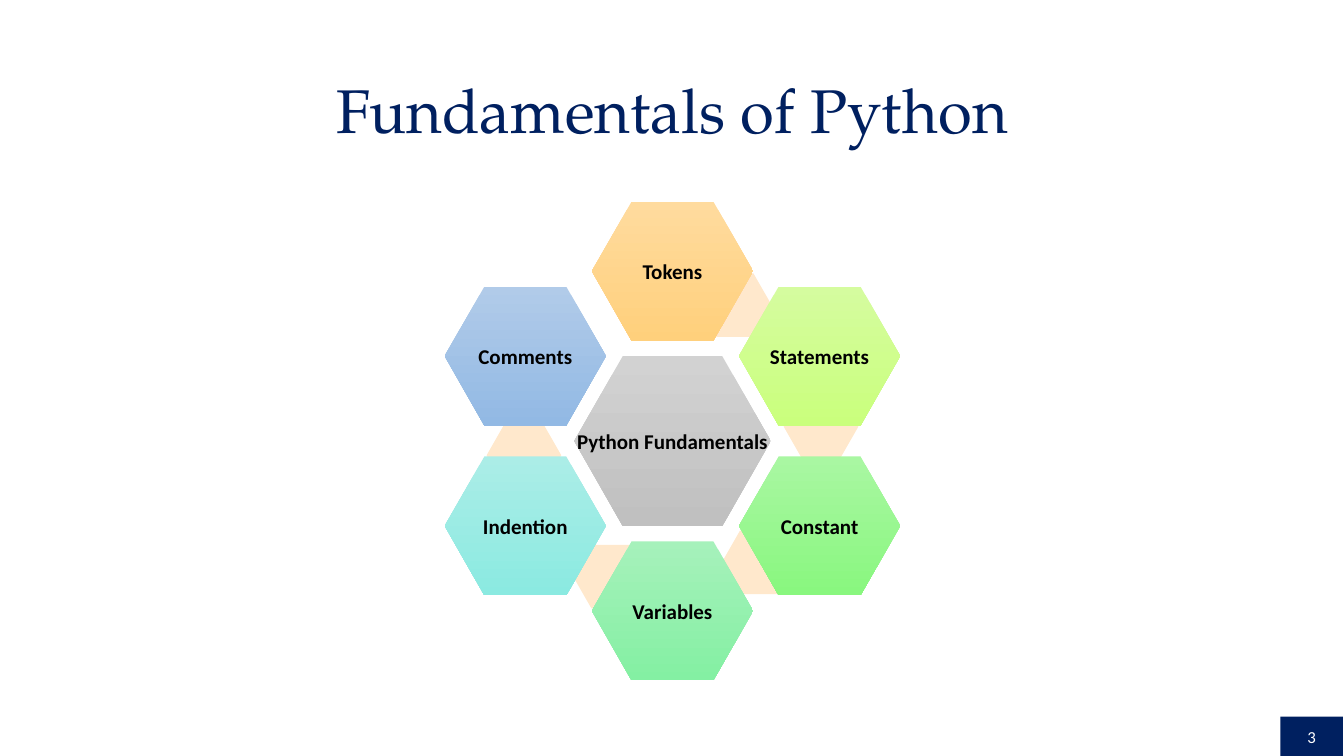
from math import cos, radians, sin
from pptx import Presentation
from pptx.dml.color import RGBColor
from pptx.enum.shapes import MSO_SHAPE
from pptx.enum.text import MSO_ANCHOR, PP_ALIGN
from pptx.util import Inches, Pt

NAVY = "002060"
LINK = "FFE8CC"
TOPICS = [
    ("Tokens", "FFDB9E", "FFD07C"),
    ("Statements", "D5FC9F", "CAFF7D"),
    ("Constant", "A9F7A2", "89F77F"),
    ("Variables", "A6F1BB", "84F0A3"),
    ("Indention", "ABEDE7", "8BEAE1"),
    ("Comments", "B1CBE9", "92B9E4"),
]


def color(value):
    return RGBColor.from_string(value)


def write(shape, text, size, ink, font="Calibri", bold=False, wrap=True, inset=0.02, spacing=1.0):
    frame = shape.text_frame
    frame.word_wrap = wrap
    frame.vertical_anchor = MSO_ANCHOR.MIDDLE
    frame.margin_left = frame.margin_right = Inches(inset)
    frame.margin_top = frame.margin_bottom = Inches(inset)
    para = frame.paragraphs[0]
    para.alignment = PP_ALIGN.CENTER
    para.line_spacing = spacing
    span = para.add_run()
    span.text = text
    span.font.size = Pt(size)
    span.font.name = font
    span.font.bold = bold
    span.font.color.rgb = color(ink)


def add_block(page, kind, box, fills):
    shape = page.shapes.add_shape(kind, *map(Inches, box))
    shape.shadow.inherit = False
    shape.line.fill.background()
    if len(fills) == 1:
        shape.fill.solid()
        shape.fill.fore_color.rgb = color(fills[0])
    else:
        shape.fill.gradient()
        shape.fill.gradient_angle = 270
        for stop, value in zip(shape.fill.gradient_stops, fills):
            stop.color.rgb = color(value)
    return shape


def add_hexagon(page, center, size, fills, text=None):
    x, y = center
    width, height = size
    box = (x - width / 2, y - height / 2, width, height)
    shape = add_block(page, MSO_SHAPE.HEXAGON, box, fills)
    shape.adjustments[0] = 0.286
    if text:
        write(shape, text, 15, "000000", bold=True, wrap=False)


def around(center, radius, angle):
    x, y = center
    return x + radius * sin(radians(angle)), y - radius * cos(radians(angle))


def add_title(page, box):
    title = page.shapes.title
    title.left, title.top, title.width, title.height = map(Inches, box)
    write(title, "Fundamentals of Python", 44, NAVY, font="TeX Gyre Pagella", inset=0.05, spacing=0.9)


def add_hexagon_ring(page, box):
    left, top, width, height = box
    center = (left + width / 2, top + height / 2)
    topic_size = (1.6, 1.38)
    radius = (height - topic_size[1]) / 2
    step = 360 / len(TOPICS)
    for index in range(len(TOPICS) - 1):
        add_hexagon(page, around(center, 1.48, 24.5 + step * index), (0.74, 0.63), [LINK])
    add_hexagon(page, center, (1.95, 1.69), ["D2D2D2", "C0C0C0"], "Python Fundamentals")
    for index, (name, *fills) in enumerate(TOPICS):
        add_hexagon(page, around(center, radius, step * index), topic_size, fills, name)


def add_page_number(page, box):
    shape = add_block(page, MSO_SHAPE.RECTANGLE, box, [NAVY])
    write(shape, "3", 12, "FFFFFF")


deck = Presentation()
deck.slide_width, deck.slide_height = Inches(13.33), Inches(7.5)
page = deck.slides.add_slide(deck.slide_layouts[5])
add_hexagon_ring(page, (4.4, 2, 4.54, 4.75))
add_page_number(page, (12.7, 7.11, 0.62, 0.4))
add_title(page, (0.92, 0.4, 11.5, 1.45))
deck.save("out.pptx")
